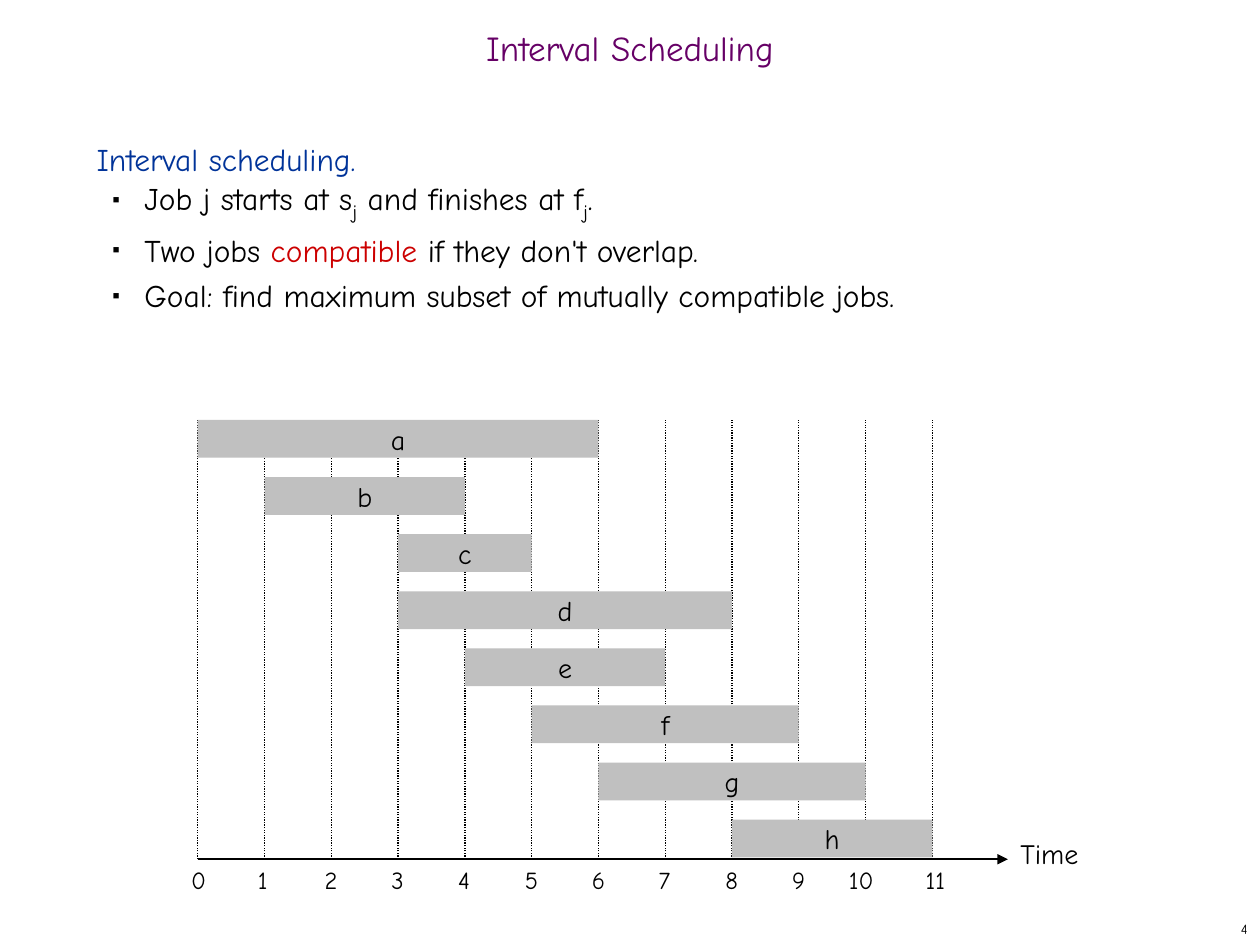
import pptx
import pptx.util
import pptx.dml.color
import pptx.enum.dml
import pptx.enum.shapes
import pptx.enum.text
import pptx.oxml.ns
import lxml.etree

Pt = pptx.util.Pt
Align = pptx.enum.text.PP_ALIGN
Anchor = pptx.enum.text.MSO_ANCHOR
Fit = pptx.enum.text.MSO_AUTO_SIZE
FACE = "Comic Neue"
BLACK, BLUE, RED, PURPLE, GRAY = "000000", "003399", "CC0000", "660066", "C0C0C0"

JOBS = [("a", 0, 6), ("b", 1, 4), ("c", 3, 5), ("d", 3, 8),
        ("e", 4, 7), ("f", 5, 9), ("g", 6, 10), ("h", 8, 11)]
POINTS = [
    [("Job j starts at s", BLACK, 0), ("j", BLACK, 1),
     (" and finishes at f", BLACK, 0), ("j", BLACK, 1), (".", BLACK, 0)],
    [("Two jobs ", BLACK, 0), ("compatible ", RED, 0),
     ("if they don't overlap.", BLACK, 0)],
    [("Goal: find maximum subset of mutually compatible jobs.", BLACK, 0)],
]


def paint(code):
    """Return the colour for a hex string."""
    return pptx.dml.color.RGBColor.from_string(code)


def add_tag(node, name, **attrs):
    """Append a drawing element to a node."""
    return lxml.etree.SubElement(node, pptx.oxml.ns.qn(name), attrs)


def add_run(para, text, size, color=BLACK):
    """Add one styled run to a paragraph."""
    run = para.add_run()
    run.text = text
    run.font.size = Pt(size)
    run.font.name = FACE
    run.font.color.rgb = paint(color)
    return run


def place(shape, box):
    """Move a shape to a box given in points."""
    shape.left, shape.top, shape.width, shape.height = map(Pt, box)


def add_text(slide, box, text, size, align=Align.LEFT, wrap=True):
    """Add a text box with one line of text."""
    shape = slide.shapes.add_textbox(*map(Pt, box))
    frame = shape.text_frame
    frame.word_wrap = wrap
    para = frame.paragraphs[0]
    para.alignment = align
    add_run(para, text, size)
    return shape


def add_line(slide, start, end, width):
    """Add a plain black line between two points."""
    line = slide.shapes.add_connector(
        pptx.enum.shapes.MSO_CONNECTOR.STRAIGHT, *map(Pt, start + end))
    line.line.color.rgb = paint(BLACK)
    line.line.width = Pt(width)
    add_tag(line._element.spPr, "a:effectLst")
    return line


def add_bar(slide, box, name):
    """Add the bar of one job."""
    bar = slide.shapes.add_shape(
        pptx.enum.shapes.MSO_SHAPE.RECTANGLE, *map(Pt, box))
    bar.shadow.inherit = False
    bar.fill.solid()
    bar.fill.fore_color.rgb = paint(GRAY)
    bar.line.fill.background()
    frame = bar.text_frame
    frame.word_wrap = False
    frame.vertical_anchor = Anchor.MIDDLE
    para = frame.paragraphs[0]
    para.alignment = Align.CENTER
    add_run(para, name, 16)


def fill_title(slide, box):
    """Fill the title placeholder."""
    title = slide.shapes.title
    place(title, box)
    frame = title.text_frame
    frame.auto_size = Fit.NONE
    frame.vertical_anchor = Anchor.MIDDLE
    para = frame.paragraphs[0]
    para.alignment = Align.CENTER
    para.line_spacing = 0.7
    add_run(para, "Interval Scheduling", 20, PURPLE)


def add_bullet(para):
    """Give a paragraph a small square bullet."""
    props = para._p.get_or_add_pPr()
    props.set("marL", str(Pt(27.36)))
    props.set("indent", str(-Pt(18)))
    color = add_tag(props, "a:buClr")
    add_tag(color, "a:srgbClr", val=BLACK)
    add_tag(props, "a:buSzPct", val="35000")
    add_tag(props, "a:buFont", typeface="Arial")
    add_tag(props, "a:buChar", char="■")


def fill_body(slide, box):
    """Fill the body placeholder with a heading and its points."""
    body = slide.placeholders[1]
    place(body, box)
    frame = body.text_frame
    frame.auto_size = Fit.NONE
    head = frame.paragraphs[0]
    props = head._p.get_or_add_pPr()
    props.set("marL", "0")
    props.set("indent", "0")
    add_tag(props, "a:buNone")
    add_run(head, "Interval scheduling.", 18, BLUE)
    for parts in POINTS:
        para = frame.add_paragraph()
        para.level = 1
        add_bullet(para)
        for text, color, sub in parts:
            run = add_run(para, text, 20 if sub else 18, color)
            if sub:
                run.font._element.set("baseline", "-25000")
    for para in frame.paragraphs:
        para.line_spacing = Pt(26)
        para.space_before = Pt(0)


def draw_chart(slide, box):
    """Draw the time grid, its axis and the job bars."""
    left, top, width, height = box
    base = top + height
    step = width / 11
    end = left + width + 43.2
    axis = add_line(slide, (left, base), (end, base), 1.25)
    add_tag(axis.line._get_or_add_ln(), "a:tailEnd", type="triangle")
    time = add_text(slide, (end, base - 16.6, 59.8, 29.5), "Time", 16)
    time.text_frame.auto_size = Fit.SHAPE_TO_FIT_TEXT
    for tick in range(12):
        x = left + tick * step
        grid = add_line(slide, (x, base), (x, top), 0.75)
        grid.line.dash_style = pptx.enum.dml.MSO_LINE.ROUND_DOT
        shift = 16.6 if tick == 10 else 10.9
        label = add_text(slide, (x - shift, base, 32.4, 26.6), str(tick), 14)
        label.text_frame.auto_size = Fit.SHAPE_TO_FIT_TEXT
    tall = 21.6
    pitch = (height - tall - 1) / (len(JOBS) - 1)
    for row, (name, start, stop) in enumerate(JOBS):
        add_bar(slide, (left + start * step, top + row * pitch,
                        (stop - start) * step, tall), name)


def add_page(slide, box):
    """Add the page number."""
    page = add_text(slide, box, "4", 8, Align.RIGHT, False)
    page.text_frame.vertical_anchor = Anchor.MIDDLE


def main():
    """Build and save the slide."""
    deck = pptx.Presentation()
    deck.slide_width, deck.slide_height = Pt(720), Pt(540)
    slide = deck.slides.add_slide(deck.slide_layouts[1])
    add_page(slide, (570, 522, 150, 18))
    fill_title(slide, (0, 12, 720, 36))
    fill_body(slide, (48, 72, 618, 426))
    draw_chart(slide, (113, 240, 419.76, 251))
    deck.save("out.pptx")


if __name__ == "__main__":
    main()
